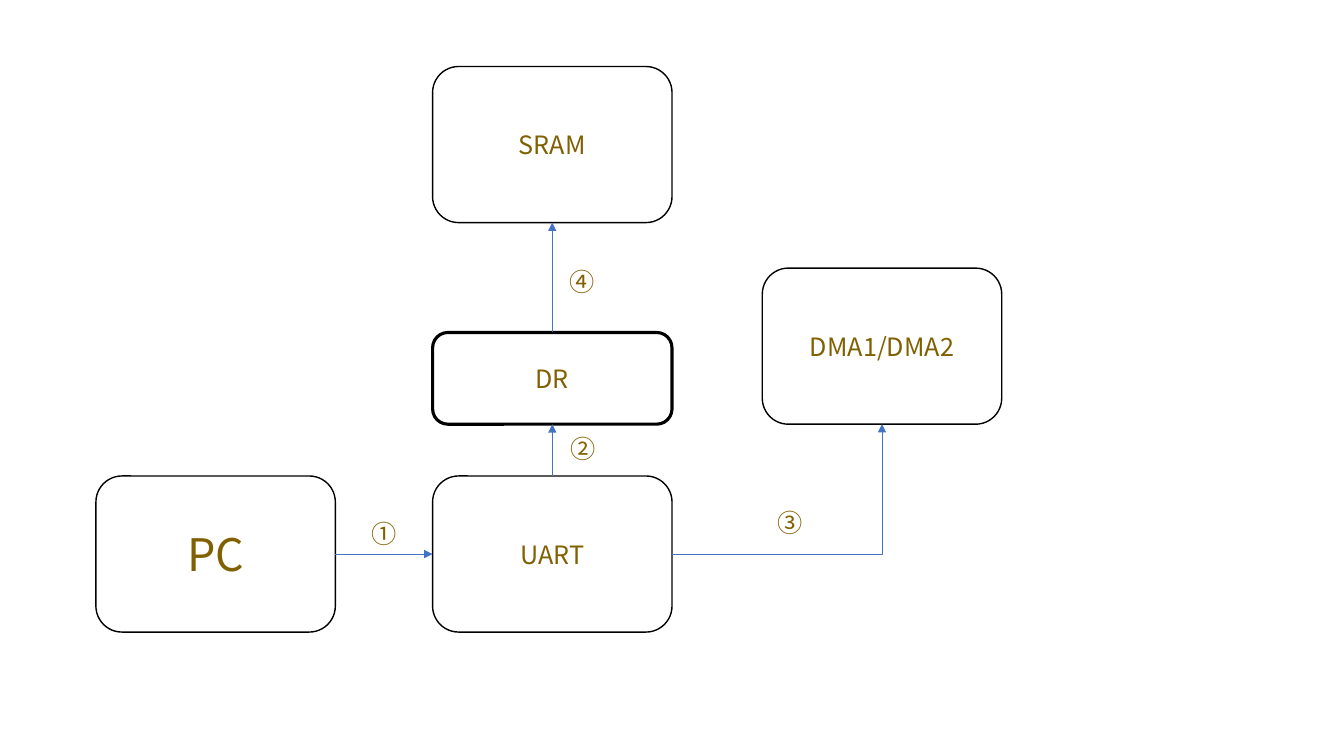
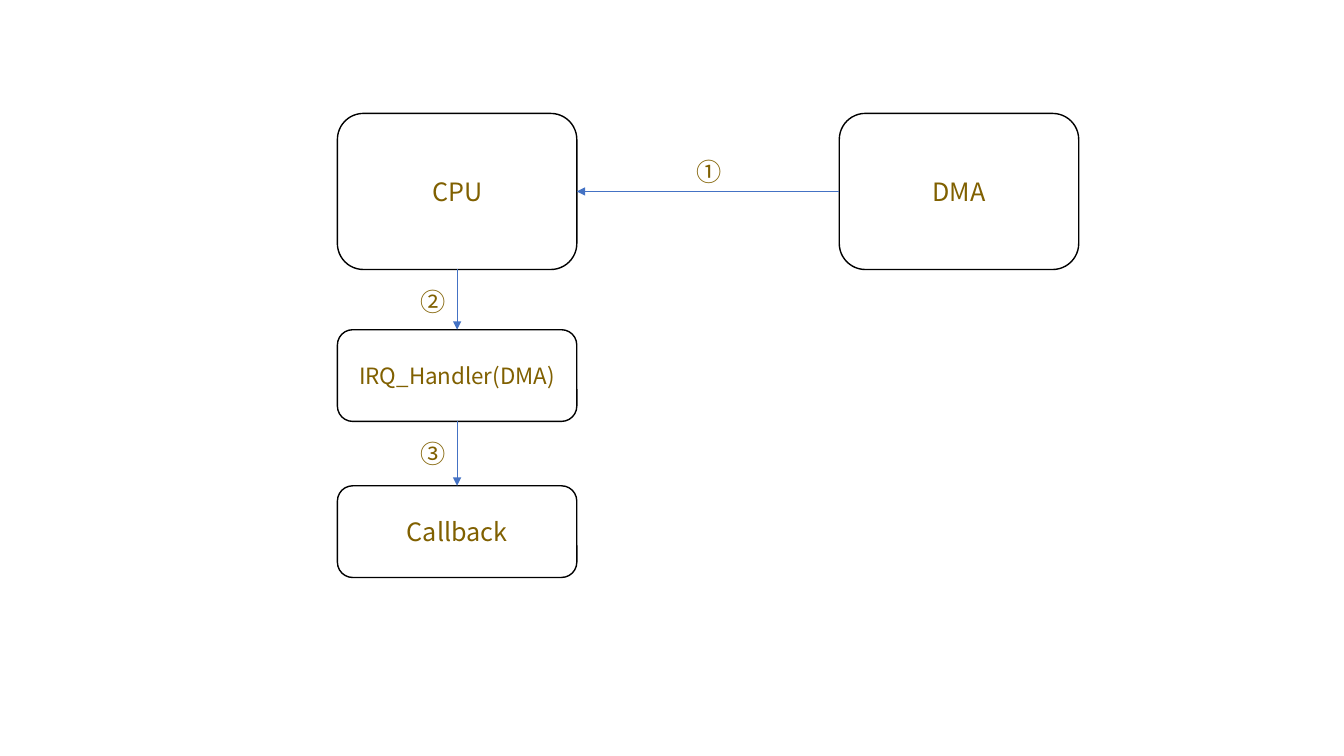
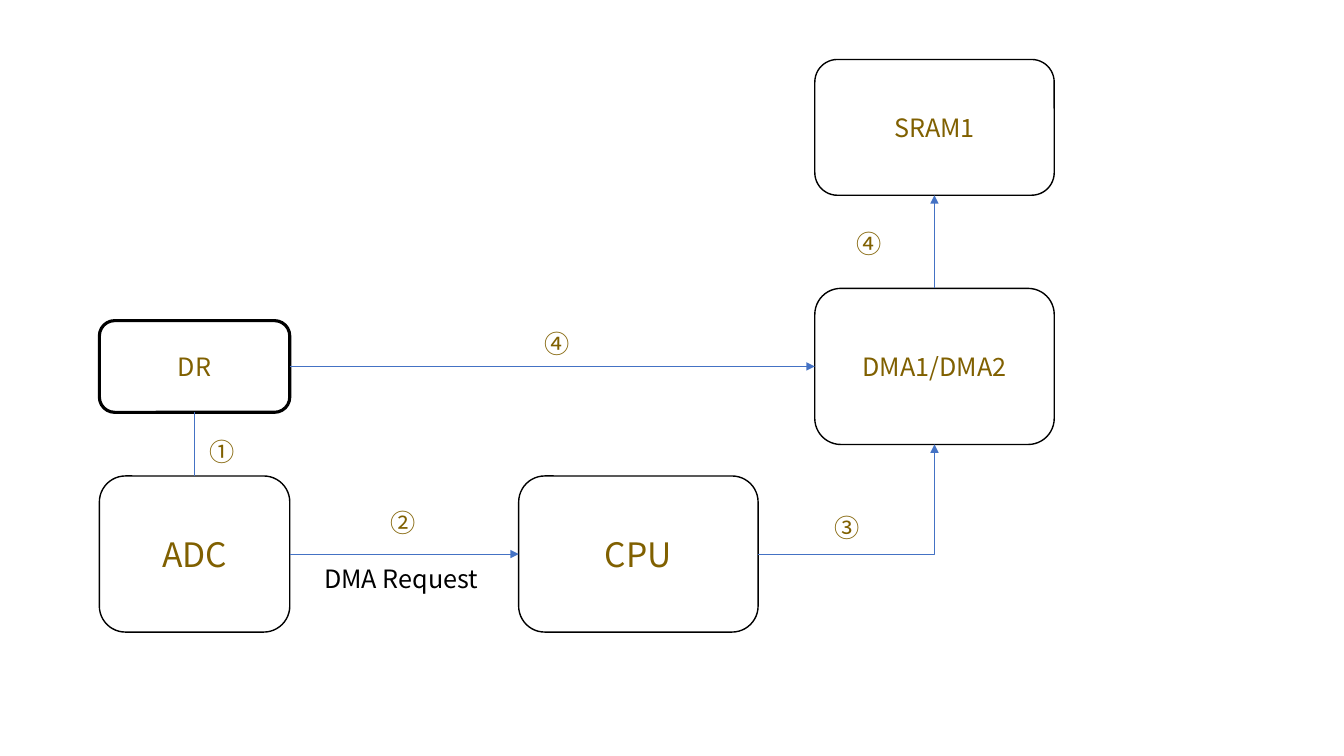
from dataclasses import dataclass
from typing import Any

from lxml import etree
from pptx import Presentation
from pptx.dml.color import RGBColor
from pptx.enum.shapes import MSO_CONNECTOR, MSO_SHAPE
from pptx.enum.text import MSO_ANCHOR, MSO_AUTO_SIZE, PP_ALIGN
from pptx.oxml.ns import qn
from pptx.util import Pt

ROUNDED = MSO_SHAPE.ROUNDED_RECTANGLE
STRAIGHT, ELBOW = MSO_CONNECTOR.STRAIGHT, MSO_CONNECTOR.ELBOW
CENTER, MIDDLE = PP_ALIGN.CENTER, MSO_ANCHOR.MIDDLE
GROW = MSO_AUTO_SIZE.SHAPE_TO_FIT_TEXT
TOP, LEFT, BOTTOM, RIGHT = range(4)

FONT = "Noto Sans CJK KR"
BLACK, GOLD, BLUE = "000000", "806000", "4472C4"
BLANK_LAYOUT = 6
WIDE, NARROW = 171, 136
TALL, MEDIUM, LOW = 111.5, 97, 65.5
THICK = 2.25
LOWER_ROW = 340


@dataclass(frozen=True)
class Box:
    text: str
    left: float
    top: float
    width: float = WIDE
    height: float = TALL
    size: float = 18
    border: float = 1


@dataclass(frozen=True)
class Link:
    """A line from one side of a box to a side of another, boxes given by text."""
    start: str
    start_side: int
    end: str
    end_side: int
    arrow: bool = True
    bent: bool = False


@dataclass(frozen=True)
class Label:
    text: str
    left: float
    top: float
    width: float = 31
    color: str = GOLD


@dataclass(frozen=True)
class Diagram:
    boxes: list[Box]
    links: list[Link]
    labels: list[Label]


TRANSFER = Diagram(
    boxes=[
        Box("PC", 68.5, LOWER_ROW, size=32),
        Box("UART", 309, LOWER_ROW),
        Box("DR", 309, 237.5, height=LOW, border=THICK),
        Box("DMA1/DMA2", 544.5, 191.5),
        Box("SRAM", 309, 47.5),
    ],
    links=[
        Link("PC", RIGHT, "UART", LEFT),
        Link("UART", TOP, "DR", BOTTOM),
        Link("UART", RIGHT, "DMA1/DMA2", BOTTOM, bent=True),
        Link("DR", TOP, "SRAM", BOTTOM),
    ],
    labels=[
        Label("①", 258.5, 367),
        Label("②", 400.5, 306),
        Label("③", 548, 359),
        Label("④", 400, 186.5),
    ],
)

INTERRUPT = Diagram(
    boxes=[
        Box("CPU", 241, 81),
        Box("DMA", 599.5, 81),
        Box("IRQ_Handler(DMA)", 241, 235.5, height=LOW, size=16),
        Box("Callback", 241, 347, height=LOW),
    ],
    links=[
        Link("DMA", LEFT, "CPU", RIGHT),
        Link("CPU", BOTTOM, "IRQ_Handler(DMA)", TOP),
        Link("IRQ_Handler(DMA)", BOTTOM, "Callback", TOP),
    ],
    labels=[
        Label("①", 490.5, 108),
        Label("②", 293, 201),
        Label("③", 293, 309.5),
    ],
)

REQUEST = Diagram(
    boxes=[
        Box("ADC", 71, LOWER_ROW, width=NARROW, size=24),
        Box("CPU", 370.5, LOWER_ROW, size=24),
        Box("DR", 71, 229, width=NARROW, height=LOW, border=THICK),
        Box("DMA1/DMA2", 582, 206),
        Box("SRAM1", 582, 42.5, height=MEDIUM),
    ],
    links=[
        Link("DR", BOTTOM, "ADC", TOP, arrow=False),
        Link("ADC", RIGHT, "CPU", LEFT),
        Link("CPU", RIGHT, "DMA1/DMA2", BOTTOM, bent=True),
        Link("DR", RIGHT, "DMA1/DMA2", LEFT),
        Link("DMA1/DMA2", TOP, "SRAM1", BOTTOM),
    ],
    labels=[
        Label("①", 142.5, 308),
        Label("②", 272, 359),
        Label("③", 589, 362.5),
        Label("④", 604.5, 159.5),
        Label("④", 382, 231),
        Label("DMA Request", 224.5, 399, width=205, color=BLACK),
    ],
)


def rgb(color: str) -> RGBColor:
    return RGBColor.from_string(color)


def apply_format(target: Any, values: dict[str, Any]) -> None:
    for name, value in values.items():
        setattr(target, name, value)


def set_line(line: Any, color: str, width: float) -> None:
    line.color.rgb = rgb(color)
    line.width = Pt(width)


def write_text(shape: Any, text: str, size: float, color: str,
               frame_format: dict[str, Any]) -> Any:
    """Fill the shape with one formatted run and return its paragraph."""
    frame = shape.text_frame
    apply_format(frame, {"word_wrap": True, **frame_format})
    paragraph = frame.paragraphs[0]
    run = paragraph.add_run()
    run.text = text
    apply_format(run.font, {"name": FONT, "size": Pt(size)})
    run.font.color.rgb = rgb(color)
    east_asian = etree.Element(qn("a:ea"), typeface=FONT)
    run.font._element.find(qn("a:latin")).addnext(east_asian)
    return paragraph


def draw_box(slide: Any, box: Box) -> Any:
    shape = slide.shapes.add_shape(
        ROUNDED, Pt(box.left), Pt(box.top), Pt(box.width), Pt(box.height))
    shape.shadow.inherit = False
    shape.fill.background()
    set_line(shape.line, BLACK, box.border)
    paragraph = write_text(shape, box.text, box.size, GOLD,
                           {"vertical_anchor": MIDDLE})
    paragraph.alignment = CENTER
    return shape


def draw_link(slide: Any, link: Link, shapes: dict[str, Any]) -> None:
    connector = slide.shapes.add_connector(
        ELBOW if link.bent else STRAIGHT, Pt(0), Pt(0), Pt(0), Pt(0))
    connector.begin_connect(shapes[link.start], link.start_side)
    connector.end_connect(shapes[link.end], link.end_side)
    set_line(connector.line, BLUE, 0.5)
    properties = connector._element.spPr
    if link.bent:
        properties.find(qn("a:prstGeom")).set("prst", "bentConnector2")
    if link.arrow:
        etree.SubElement(properties.find(qn("a:ln")), qn("a:tailEnd"),
                         type="triangle")
    etree.SubElement(properties, qn("a:effectLst"))


def draw_label(slide: Any, label: Label) -> None:
    shape = slide.shapes.add_textbox(
        Pt(label.left), Pt(label.top), Pt(label.width), Pt(29))
    write_text(shape, label.text, 18, label.color, {"auto_size": GROW})


def draw_diagram(presentation: Any, diagram: Diagram) -> None:
    slide = presentation.slides.add_slide(
        presentation.slide_layouts[BLANK_LAYOUT])
    shapes = {box.text: draw_box(slide, box) for box in diagram.boxes}
    for link in diagram.links:
        draw_link(slide, link, shapes)
    for label in diagram.labels:
        draw_label(slide, label)


def main() -> None:
    presentation = Presentation()
    apply_format(presentation,
                 {"slide_width": Pt(960), "slide_height": Pt(540)})
    for diagram in (TRANSFER, INTERRUPT, REQUEST):
        draw_diagram(presentation, diagram)
    presentation.save("out.pptx")


if __name__ == "__main__":
    main()
